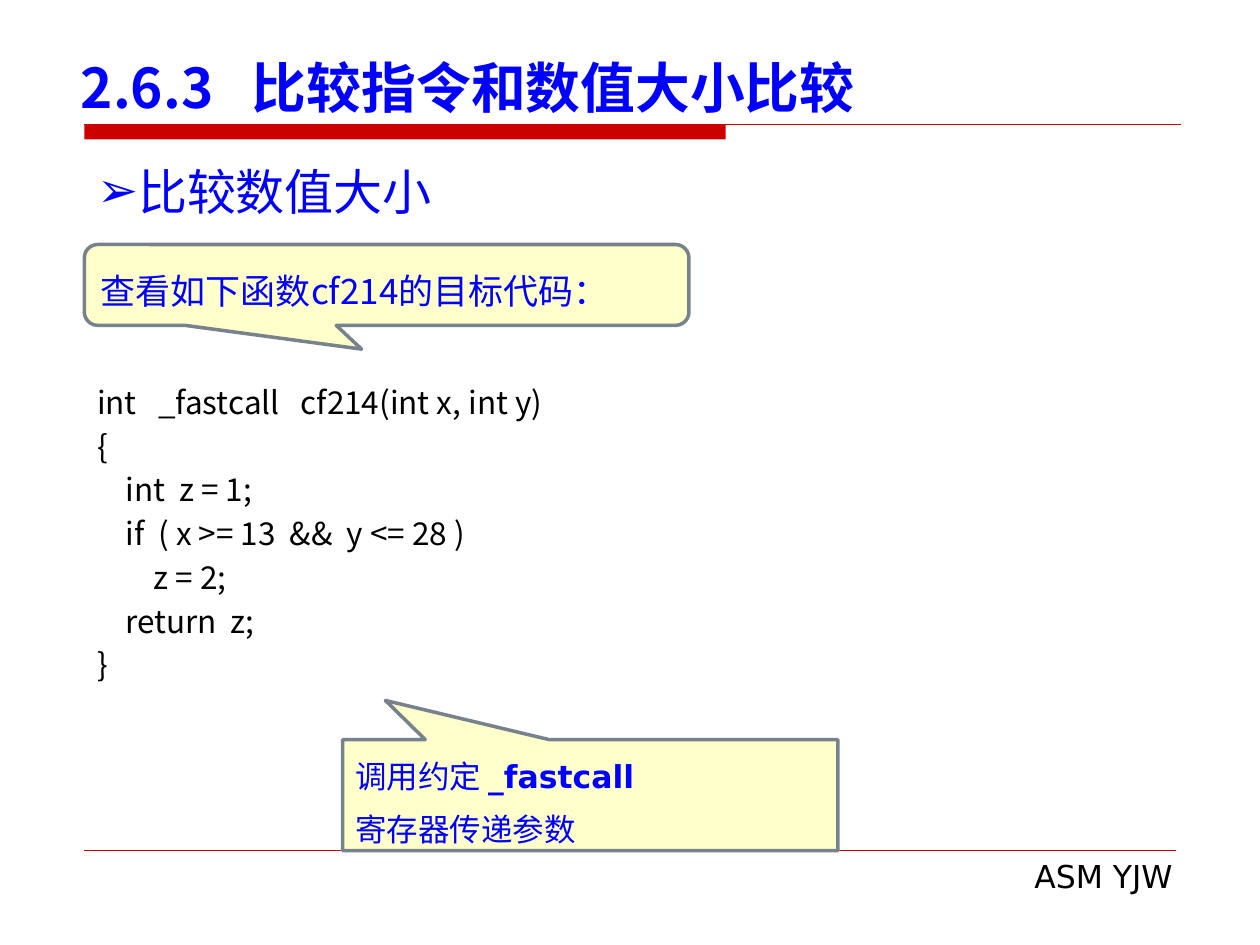
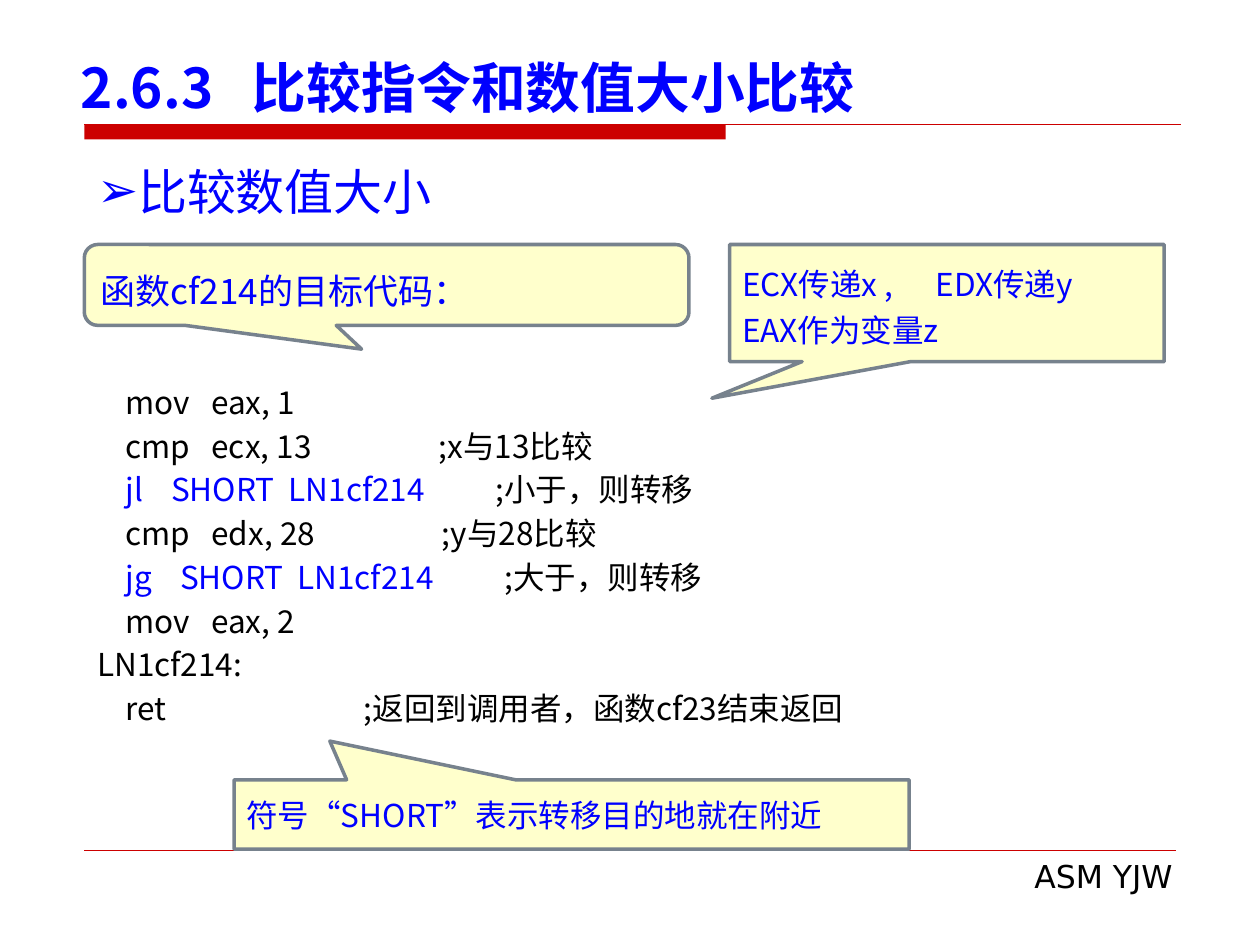
import dataclasses

import lxml.etree
import pptx
import pptx.dml.color
import pptx.enum.shapes
import pptx.enum.text
import pptx.oxml.ns
import pptx.util

Cm, Pt = pptx.util.Cm, pptx.util.Pt
SHAPE = pptx.enum.shapes.MSO_SHAPE
ALIGN = pptx.enum.text.PP_ALIGN
ANCHOR = pptx.enum.text.MSO_ANCHOR
qn = pptx.oxml.ns.qn


@dataclasses.dataclass(frozen=True)
class Theme:
    """Colours, fonts and type sizes of the deck."""
    red: str = "CC0000"
    blue: str = "0000FF"
    black: str = "000000"
    cream: str = "FFFFCC"
    slate: str = "77828D"
    cjk: str = "Noto Sans CJK SC"
    sans: str = "DejaVu Sans"
    title: float = 31.3
    heading: float = 28
    lead: float = 20
    body: float = 18


T = Theme()
TITLE = "2.6.3\t比较指令和数值大小比较"
HEADING = "比较数值大小"
FOOTER = "ASM YJW"

TITLE_BOX = (1.5, 0.74, 23.01, 1.8)
RULE_BOX = (1.7, 2.51, 22.1, 0.3)
HEADING_BOX = (1.83, 3.12, 21.74, 1.68)
LEAD_BOX, LEAD_TIP = (1.7, 4.93, 12.19, 1.63), (7.29, 7.04)
CODE_BOX = (1.83, 7.47, 21.95, 7.34)
FOOTER_BOX = (1.7, 17.14, 22, 1.04)

C_CODE = [
    "int   _fastcall   cf214(int x, int y)",
    "{",
    "    int  z = 1;",
    "    if  ( x >= 13  &&  y <= 28 )",
    "        z = 2;",
    "    return  z;",
    "}",
]
JUMP = {"color": T.blue}
ASM_CODE = [
    "    mov   eax, 1",
    "    cmp   ecx, 13                  ;x与13比较",
    ["    ", ("jl    SHORT  LN1cf214          ", JUMP), ";小于，则转移"],
    "    cmp   edx, 28                  ;y与28比较",
    ["    ", ("jg    SHORT  LN1cf214          ", JUMP), ";大于，则转移"],
    "    mov   eax, 2",
    "LN1cf214:",
    "    ret                            ;返回到调用者，函数cf23结束返回",
]


def rgb(value):
    """Return a colour from its hex digits."""
    return pptx.dml.color.RGBColor.from_string(value)


def set_all(obj, values):
    """Set every attribute named in a dict."""
    for name, value in values.items():
        setattr(obj, name, value)


def add_run(p, text, size, color=T.blue, font=T.cjk, bold=False):
    """Append one formatted run to a paragraph."""
    r = p.add_run()
    r.text = text
    set_all(r.font, {"size": Pt(size), "name": font, "bold": bold})
    r.font.color.rgb = rgb(color)
    lxml.etree.SubElement(r.font._element, qn("a:ea"), typeface=font)


def fill_text(tf, lines, size, inset=0.13, anchor=ANCHOR.TOP,
              align=ALIGN.LEFT, spacing=None, tab=None, bullet=None, **style):
    """Write lines, each a string or a list of runs, into a text frame."""
    set_all(tf, {"word_wrap": True, "vertical_anchor": anchor})
    set_all(tf, {f"margin_{side}": Cm(inset)
                 for side in ("left", "right", "top", "bottom")})
    for i, line in enumerate(lines):
        p = tf.add_paragraph() if i else tf.paragraphs[0]
        pPr = p._p.get_or_add_pPr()
        if bullet:
            set_bullet(pPr, bullet)
        if tab:
            tabs = lxml.etree.SubElement(pPr, qn("a:tabLst"))
            lxml.etree.SubElement(tabs, qn("a:tab"), pos=str(Cm(tab)), algn="l")
        set_all(p, {"alignment": align, "line_spacing": spacing and Pt(spacing)})
        for part in [line] if isinstance(line, str) else line:
            text, change = (part, {}) if isinstance(part, str) else part
            add_run(p, text, size, **{**style, **change})


def set_bullet(pPr, char):
    """Give a paragraph a bullet that sits right before its text."""
    set_values = {"marL": "0", "indent": "0"}
    for name, value in set_values.items():
        pPr.set(name, value)
    lxml.etree.SubElement(pPr, qn("a:buFont"), typeface=T.sans)
    lxml.etree.SubElement(pPr, qn("a:buChar"), char=char)


def add_text(s, box, lines, size, **style):
    """Add a text box."""
    tf = s.shapes.add_textbox(*map(Cm, box)).text_frame
    fill_text(tf, lines, size, **style)


def add_rule(s, x, y, w, weight):
    """Add a thin red horizontal line."""
    line = s.shapes.add_connector(
        pptx.enum.shapes.MSO_CONNECTOR.STRAIGHT, Cm(x), Cm(y), Cm(x + w), Cm(y))
    line.line.color.rgb = rgb(T.red)
    line.line.width = Pt(weight)
    lxml.etree.SubElement(line._element.spPr, qn("a:effectLst"))


def add_solid(s, kind, box, color):
    """Add a flat filled shape without outline."""
    sp = s.shapes.add_shape(kind, *map(Cm, box))
    sp.shadow.inherit = False
    sp.fill.solid()
    sp.fill.fore_color.rgb = rgb(color)
    sp.line.fill.background()
    return sp


def add_callout(s, box, tip, lines, size=T.body,
                kind=SHAPE.RECTANGULAR_CALLOUT, **style):
    """Add a speech callout whose pointer ends at tip."""
    x, y, w, h = box
    sp = add_solid(s, kind, box, T.cream)
    sp.adjustments[0] = (tip[0] - x) / w - 0.5
    sp.adjustments[1] = (tip[1] - y) / h - 0.5
    sp.line.color.rgb = rgb(T.slate)
    sp.line.width = Pt(2)
    fill_text(sp.text_frame, lines, size, inset=0.25, anchor=ANCHOR.MIDDLE, **style)


def add_header(s, box):
    """Add the red band and the line that runs on from it."""
    x, y, w, h = box
    add_solid(s, SHAPE.RECTANGLE, (x, y, 12.93, h), T.red)
    add_rule(s, x, y, w, 0.75)


def add_footer(s, box):
    """Add the footer line and its right-aligned label."""
    x, y, w, h = box
    add_rule(s, x, y, w, 0.25)
    add_text(s, (x, y, w + 0.07, h), [FOOTER], T.body, align=ALIGN.RIGHT,
             color=T.black, font=T.sans)


def add_code_slide(prs, lead, code):
    """Add a slide with title, heading, lead callout and code listing."""
    s = prs.slides.add_slide(prs.slide_layouts[6])
    add_header(s, RULE_BOX)
    add_footer(s, FOOTER_BOX)
    add_text(s, TITLE_BOX, [TITLE], T.title, anchor=ANCHOR.BOTTOM,
             tab=3.45, bold=True)
    add_text(s, HEADING_BOX, [HEADING], T.heading, align=ALIGN.JUSTIFY, bullet="➢")
    add_text(s, CODE_BOX, code, T.body, spacing=25, color=T.black)
    add_callout(s, LEAD_BOX, LEAD_TIP, [lead], T.lead,
                kind=SHAPE.ROUNDED_RECTANGULAR_CALLOUT, spacing=30)
    return s


def main():
    """Build the deck and save it."""
    prs = pptx.Presentation()
    set_all(prs, {"slide_width": Cm(25.4), "slide_height": Cm(19.05)})

    s = add_code_slide(prs, "查看如下函数cf214的目标代码：", C_CODE)
    convention = ["调用约定 ", ("_fastcall", {"font": T.sans, "bold": True})]
    add_callout(s, (6.91, 14.91, 9.98, 2.24), (7.77, 14.12),
                [convention, "寄存器传递参数"], spacing=30)

    s = add_code_slide(prs, "函数cf214的目标代码：", ASM_CODE)
    add_callout(s, (4.72, 15.72, 13.61, 1.4), (6.65, 14.94),
                ["符号“SHORT”表示转移目的地就在附近"])
    add_callout(s, (14.71, 4.93, 8.76, 2.36), (14.35, 8.03),
                ["ECX传递x ,\tEDX传递y", "EAX作为变量z"], spacing=26, tab=3.9)

    prs.save("out.pptx")


if __name__ == "__main__":
    main()
